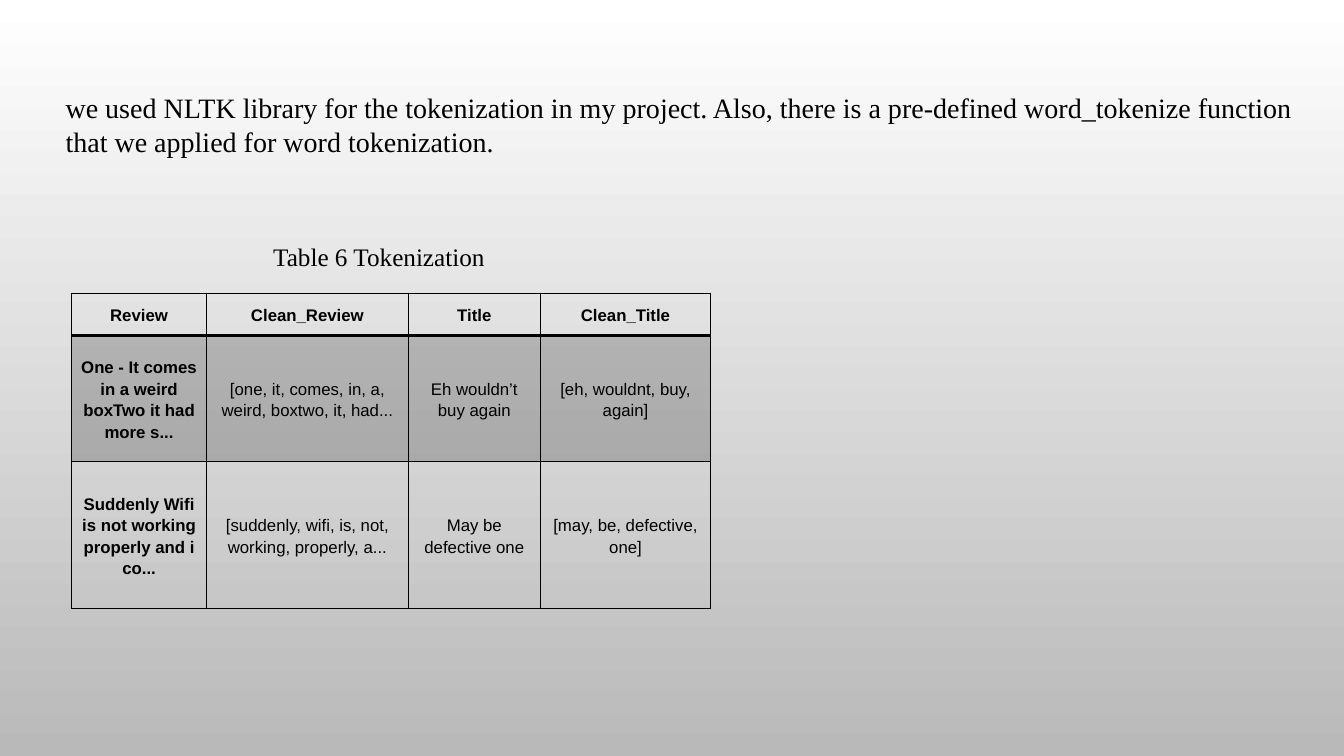
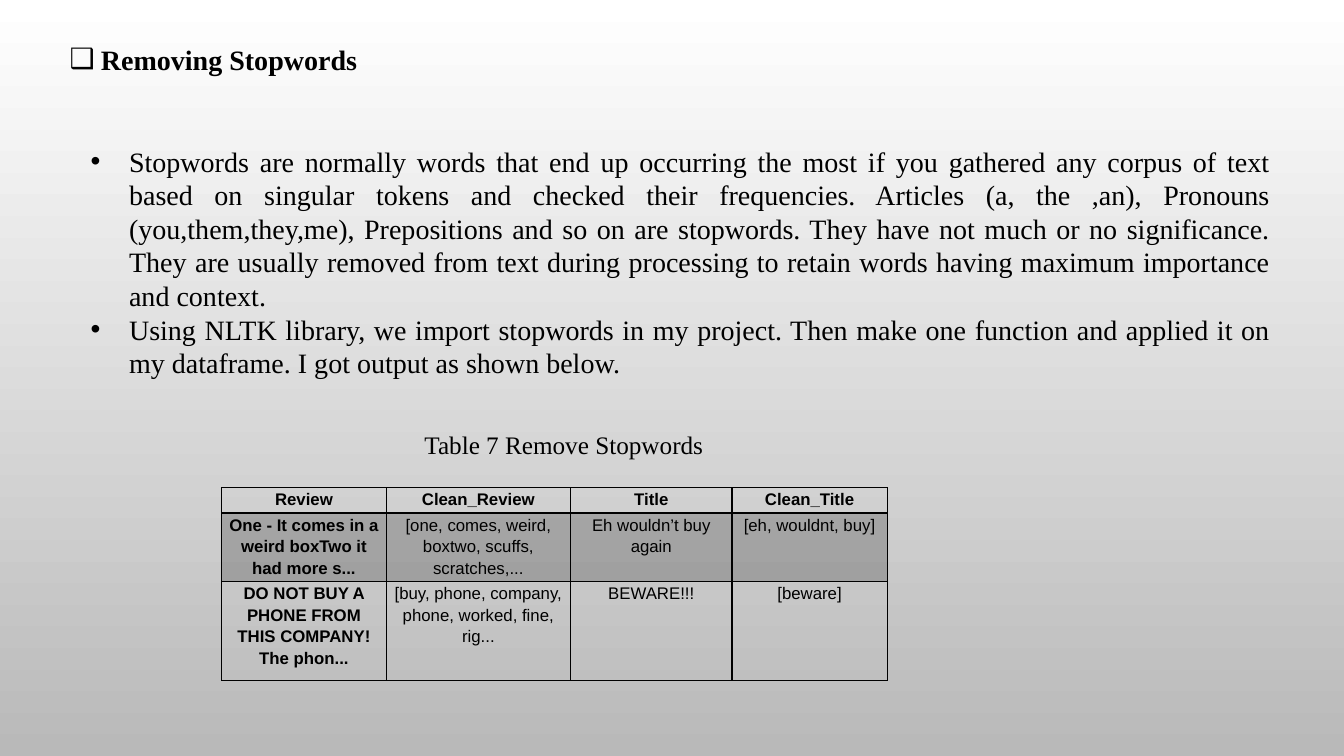
import pptx
import pptx.util
import pptx.dml.color
import pptx.enum.text
import pptx.oxml.ns
from lxml import etree

RGB = pptx.dml.color.RGBColor
BLACK = RGB(0x00, 0x00, 0x00)
WHITE = RGB(0xFF, 0xFF, 0xFF)
GREY = RGB(0xB9, 0xB9, 0xB9)
SERIF = "Times New Roman"
SANS = "Arial"
SCALE = 9144
HEADS = ["Review", "Clean_Review", "Title", "Clean_Title"]
ALIGN = pptx.enum.text.PP_ALIGN
ANCHOR = pptx.enum.text.MSO_ANCHOR
qn = pptx.oxml.ns.qn
Pt = pptx.util.Pt


def px(size):
    return pptx.util.Emu(size * SCALE)


class Deck:
    def __init__(self):
        self.prs = pptx.Presentation()
        self.prs.slide_width, self.prs.slide_height = px(1333), px(750)
        fill = self.prs.slide_master.background.fill
        fill.gradient()
        fill.gradient_angle = 270
        for stop, tone in zip(fill.gradient_stops, (WHITE, GREY)):
            stop.color.rgb = tone
        self.slide = None

    def new(self):
        layout = self.prs.slide_layouts[1]
        self.slide = self.prs.slides.add_slide(layout)

    def text(self, para, words, size, face=SERIF, bold=False, align=ALIGN.LEFT, gap=1.0):
        para.alignment = align
        para.line_spacing = gap
        para.space_before = Pt(0)
        run = para.add_run()
        run.text = words
        font = run.font
        font.size, font.name, font.bold = Pt(size), face, bold
        font.color.rgb = BLACK

    def mark(self, para, sign=None, indent=0):
        props = para._p.get_or_add_pPr()
        props.set("marL", str(px(indent)))
        props.set("indent", str(px(-indent)))
        if sign:
            etree.SubElement(props, qn("a:buFont"), typeface=SANS)
            etree.SubElement(props, qn("a:buChar"), char=sign)
        else:
            etree.SubElement(props, qn("a:buNone"))

    def place(self, shape, box):
        shape.left, shape.top, shape.width, shape.height = map(px, box)
        frame = shape.text_frame
        frame.word_wrap = True
        frame.auto_size = pptx.enum.text.MSO_AUTO_SIZE.NONE
        frame.vertical_anchor = ANCHOR.TOP
        frame.margin_left = frame.margin_right = 0
        frame.margin_top = frame.margin_bottom = 0
        return frame

    def title(self, box, words):
        para = self.place(self.slide.shapes.title, box).paragraphs[0]
        self.text(para, words, 20, bold=True)
        self.mark(para, "❑", 31)

    def drop_title(self):
        item = self.slide.shapes.title.element
        item.getparent().remove(item)

    def body(self, box, lines, sign=None, indent=0, align=ALIGN.LEFT):
        frame = self.place(self.slide.placeholders[1], box)
        for i, line in enumerate(lines):
            para = frame.add_paragraph() if i else frame.paragraphs[0]
            self.text(para, line, 20, align=align)
            self.mark(para, sign, indent)

    def label(self, box, words):
        shape = self.slide.shapes.add_textbox(0, 0, 0, 0)
        self.text(self.place(shape, box).paragraphs[0], words, 18)

    def edge(self, cell, side, width):
        props = cell._tc.get_or_add_tcPr()
        line = etree.SubElement(props, qn("a:ln" + side), w=str(Pt(width)))
        fill = etree.SubElement(line, qn("a:solidFill"))
        etree.SubElement(fill, qn("a:srgbClr"), val=str(BLACK))

    def shade(self, cell):
        cell.fill.solid()
        cell.fill.fore_color.rgb = BLACK
        tone = cell._tc.tcPr.find(qn("a:solidFill")).find(qn("a:srgbClr"))
        etree.SubElement(tone, qn("a:alpha"), val="20000")

    def table(self, left, top, cols, rows, data, anchor):
        frame = self.slide.shapes.add_table(
            len(rows), len(cols), px(left), px(top), px(sum(cols)), px(sum(rows)))
        grid = frame.table
        grid.first_row = grid.horz_banding = False
        for col, width in zip(grid.columns, cols):
            col.width = px(width)
        for row, height in zip(grid.rows, rows):
            row.height = px(height)
        for r, texts in enumerate([HEADS] + data):
            for c, words in enumerate(texts):
                cell = grid.cell(r, c)
                cell.vertical_anchor = anchor
                cell.margin_left = cell.margin_right = px(7)
                cell.margin_top = cell.margin_bottom = 0
                self.text(cell.text_frame.paragraphs[0], words, 12, SANS,
                          r == 0 or c == 0, ALIGN.CENTER, 1.15)
                for side in "LRTB":
                    heavy = (r, side) in ((0, "B"), (1, "T"))
                    self.edge(cell, side, 2 if heavy else 1)
                if r == 1:
                    self.shade(cell)
                else:
                    cell.fill.background()


def main():
    deck = Deck()

    deck.new()
    deck.drop_title()
    deck.body((65, 90, 1232, 67), [
        "we used NLTK library for the tokenization in my project. Also, there is a "
        "pre-defined word_tokenize function that we applied for word tokenization."])
    deck.label((271, 239, 400, 30), "Table 6 Tokenization")
    deck.table(71, 291, [134, 200, 131, 169], [42, 125, 146], [
        ["One - It comes in a weird boxTwo it had more s...",
         "[one, it, comes, in, a, weird, boxtwo, it, had...",
         "Eh wouldn’t buy again", "[eh, wouldnt, buy, again]"],
        ["Suddenly Wifi is not working properly and i co...",
         "[suddenly, wifi, is, not, working, properly, a...",
         "May be defective one", "[may, be, defective, one]"],
    ], ANCHOR.MIDDLE)

    deck.new()
    deck.title((69, 42, 1000, 34), "Removing Stopwords")
    deck.body((90, 143, 1170, 236), [
        "Stopwords are normally words that end up occurring the most if you gathered any "
        "corpus of text based on singular tokens and checked their frequencies. Articles "
        "(a, the ,an), Pronouns (you,them,they,me), Prepositions and so on are stopwords. "
        "They have not much or no significance. They are usually removed from text during "
        "processing to retain words having maximum importance and context.",
        "Using NLTK library, we import stopwords in my project. Then make one function and "
        "applied it on my dataframe. I got output as shown below.",
    ], "•", 38, ALIGN.JUSTIFY)
    deck.label((421, 426, 400, 30), "Table 7 Remove Stopwords")
    deck.table(220, 484, [163, 183, 160, 154], [25, 68, 98], [
        ["One - It comes in a weird boxTwo it had more s...",
         "[one, comes, weird, boxtwo, scuffs, scratches,...",
         "Eh wouldn’t buy again", "[eh, wouldnt, buy]"],
        ["DO NOT BUY A PHONE FROM THIS COMPANY! The phon...",
         "[buy, phone, company, phone, worked, fine, rig...",
         "BEWARE!!!", "[beware]"],
    ], ANCHOR.TOP)

    deck.prs.save("out.pptx")


if __name__ == "__main__":
    main()
